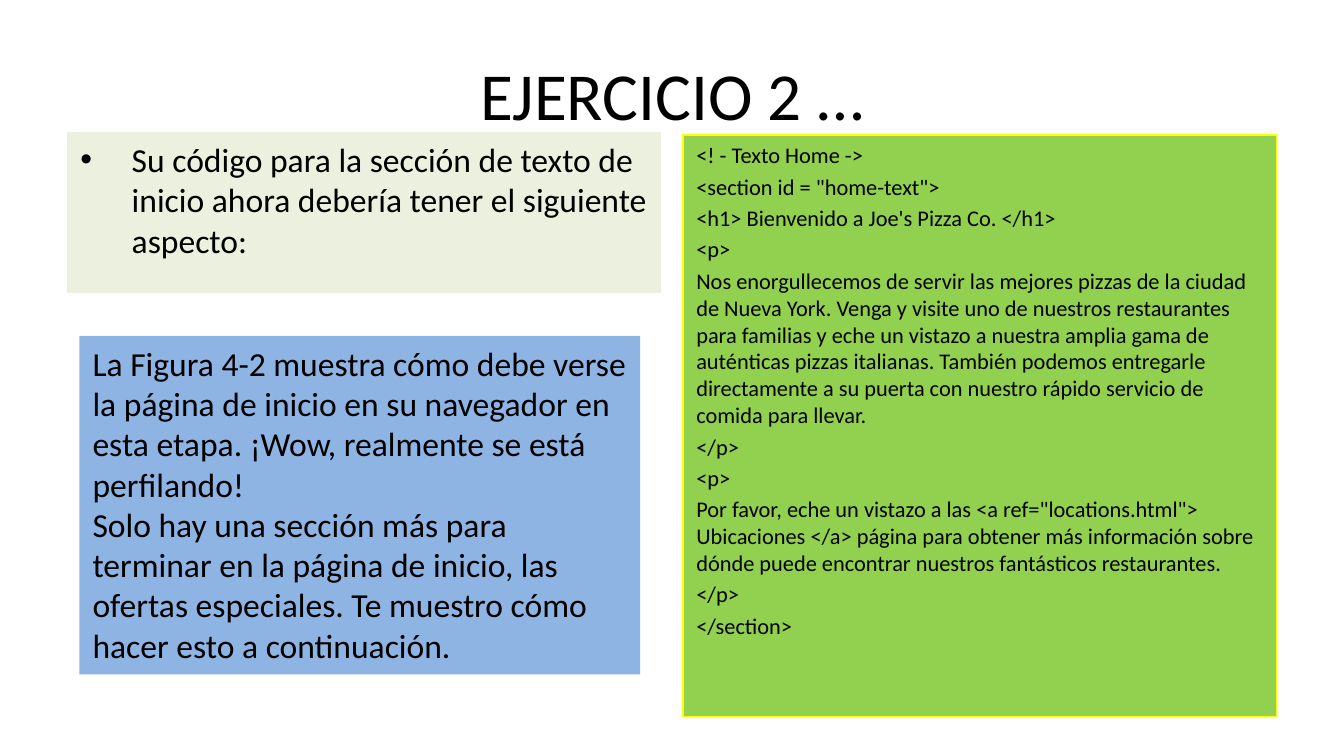
from lxml.etree import SubElement
from pptx import Presentation
from pptx.dml.color import RGBColor
from pptx.enum.shapes import MSO_SHAPE
from pptx.enum.text import MSO_ANCHOR, PP_ALIGN
from pptx.oxml.ns import qn
from pptx.util import Cm, Pt

INTRODUCTION = [
    "Su código para la sección de texto de inicio ahora debería tener el siguiente aspecto:",
]
CODE = [
    "<! - Texto Home ->",
    '<section id = "home-text">',
    "<h1> Bienvenido a Joe's Pizza Co. </h1>",
    "<p>",
    "Nos enorgullecemos de servir las mejores pizzas de la ciudad de Nueva York. "
    "Venga y visite uno de nuestros restaurantes para familias y eche un vistazo a "
    "nuestra amplia gama de auténticas pizzas italianas. También podemos entregarle "
    "directamente a su puerta con nuestro rápido servicio de comida para llevar.",
    "</p>",
    "<p>",
    'Por favor, eche un vistazo a las <a ref="locations.html"> Ubicaciones </a> página '
    "para obtener más información sobre dónde puede encontrar nuestros fantásticos restaurantes.",
    "</p>",
    "</section>",
]
EXPLANATION = [
    "La Figura 4-2 muestra cómo debe verse la página de inicio en su navegador en esta "
    "etapa. ¡Wow, realmente se está perfilando!",
    "Solo hay una sección más para terminar en la página de inicio, las ofertas "
    "especiales. Te muestro cómo hacer esto a continuación.",
]


def color(value):
    return RGBColor.from_string(value)


def write(frame, texts, size, font, text_color, align=PP_ALIGN.LEFT,
          anchor=MSO_ANCHOR.TOP, space=0, bullet=None, indent=0.97):
    frame.word_wrap = True
    frame.vertical_anchor = anchor
    for index, text in enumerate(texts):
        paragraph = frame.add_paragraph() if index else frame.paragraphs[0]
        paragraph.text = text
        paragraph.alignment = align
        paragraph.space_before = Pt(space if index else 0)
        if bullet:
            properties = paragraph._p.get_or_add_pPr()
            properties.set("marL", str(Cm(indent)))
            properties.set("indent", str(-Cm(indent)))
            SubElement(properties, qn("a:buFont"), typeface="Arial")
            SubElement(properties, qn("a:buChar"), char=bullet)
        paragraph.font.size = Pt(size)
        paragraph.font.name = font
        paragraph.font.color.rgb = color(text_color)


class ExerciseSlide:
    font = "Calibri"
    text_color = "000000"

    def __init__(self, presentation):
        self.slide = presentation.slides.add_slide(presentation.slide_layouts[6])

    def title(self, text, left, top, width, height):
        shape = self.slide.shapes.add_textbox(Cm(left), Cm(top), Cm(width), Cm(height))
        write(shape.text_frame, [text], 36, self.font, self.text_color,
              align=PP_ALIGN.CENTER, anchor=MSO_ANCHOR.MIDDLE)

    def panel(self, texts, left, top, width, height, fill, size=18, line=None, **text_format):
        shape = self.slide.shapes.add_shape(
            MSO_SHAPE.RECTANGLE, Cm(left), Cm(top), Cm(width), Cm(height))
        shape.shadow.inherit = False
        shape.fill.solid()
        shape.fill.fore_color.rgb = color(fill)
        if line:
            shape.line.color.rgb = color(line)
            shape.line.width = Pt(0.75)
        else:
            shape.line.fill.background()
        write(shape.text_frame, texts, size, self.font, self.text_color, **text_format)


def main():
    presentation = Presentation()
    presentation.slide_width = Cm(25.4)
    presentation.slide_height = Cm(14.29)
    exercise = ExerciseSlide(presentation)
    exercise.title("EJERCICIO 2 …", 1.27, 0.58, 22.86, 2.39)
    exercise.panel(INTRODUCTION, 1.27, 2.5, 11.22, 3.04, "EBF1DE", bullet="•")
    exercise.panel(CODE, 12.91, 2.55, 11.22, 11, "92D050", size=12, line="FFFF00", space=2.4)
    exercise.panel(EXPLANATION, 1.5, 6.35, 10.6, 6.4, "8EB4E3")
    presentation.save("out.pptx")


if __name__ == "__main__":
    main()
